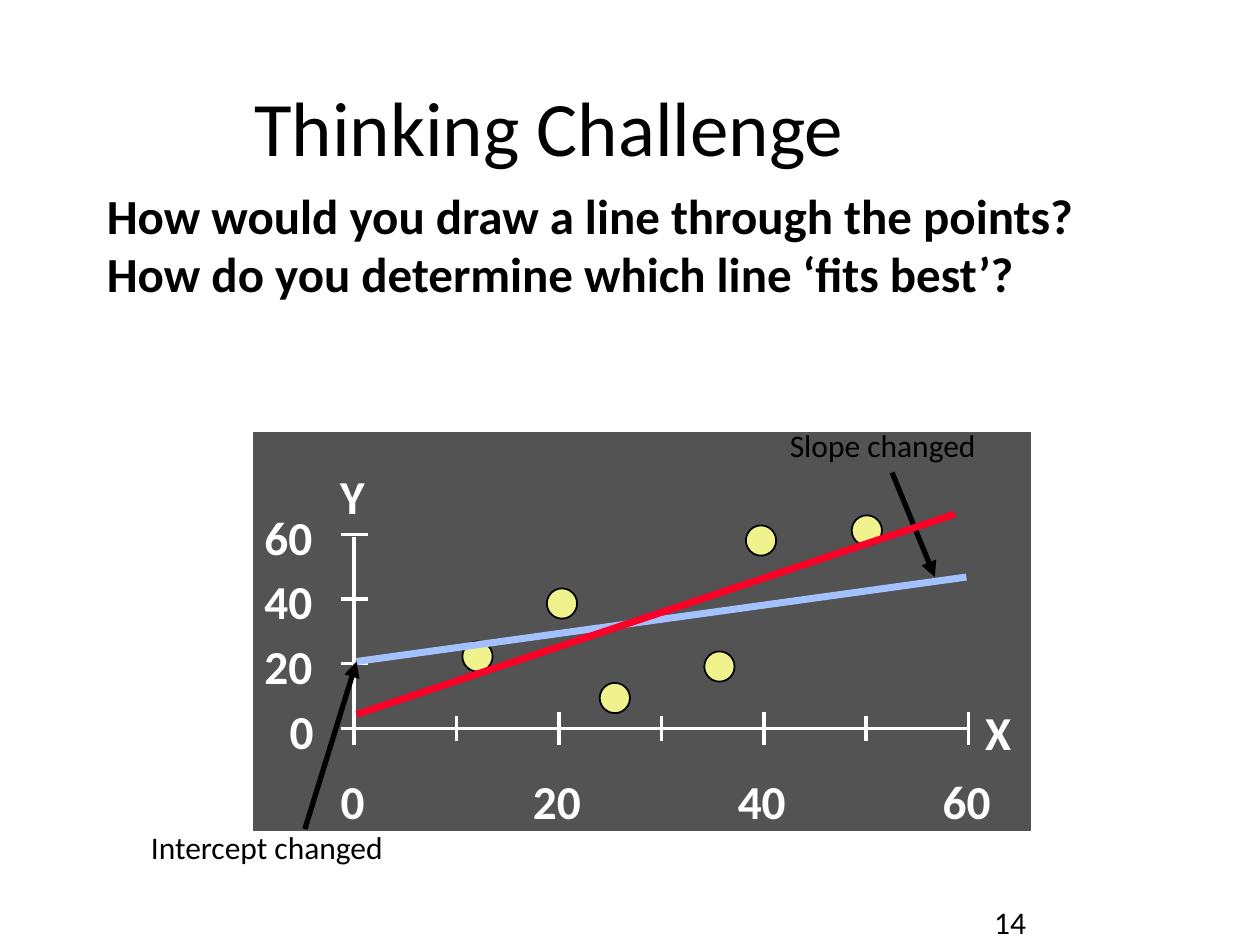
from typing import NamedTuple

from lxml.etree import SubElement
from pptx import Presentation
from pptx.dml.color import RGBColor
from pptx.enum.shapes import MSO_CONNECTOR, MSO_SHAPE
from pptx.enum.text import MSO_ANCHOR
from pptx.oxml.ns import qn
from pptx.util import Inches, Pt

BLACK, WHITE = "000000", "FFFFFF"
PANEL, DOT, BLUE, RED = "535353", "F0F28D", "A2C1FE", "FC0128"

# Axis geometry: origin, and the step between ticks
X0, Y0 = 2.81, 5.78
X_STEP, Y_STEP = 0.813, 0.513
DOT_SIZE = 0.24


class Line(NamedTuple):
    x1: float
    y1: float
    x2: float
    y2: float
    color: str = WHITE
    width: float = 2
    arrow: bool = False


class Dot(NamedTuple):
    x: float
    y: float


def rgb(color: str) -> RGBColor:
    return RGBColor.from_string(color)


def add_text(s, text: str, x: float, y: float, w: float, h: float, *,
             size: float = 18, color: str = BLACK, bold: bool = False,
             anchor=MSO_ANCHOR.TOP, spacing: float = 1.0,
             inset: float = 0.1) -> None:
    box = s.shapes.add_textbox(Inches(x), Inches(y), Inches(w), Inches(h))
    tf = box.text_frame
    tf.word_wrap = True
    tf.vertical_anchor = anchor
    tf.margin_left = tf.margin_right = Inches(inset)
    p = tf.paragraphs[0]
    p.line_spacing = spacing
    r = p.add_run()
    r.text = text
    r.font.name = "Calibri"
    r.font.size = Pt(size)
    r.font.bold = bold
    r.font.color.rgb = rgb(color)


def add_axis_label(s, text: str, x: float, y: float, w: float) -> None:
    add_text(s, text, x, y, w, 0.55, size=27, color=WHITE, bold=True)


def add_shape(s, kind, x: float, y: float, w: float, h: float,
              fill: str, line: str) -> None:
    sp = s.shapes.add_shape(kind, Inches(x), Inches(y), Inches(w), Inches(h))
    sp.shadow.inherit = False
    sp.fill.solid()
    sp.fill.fore_color.rgb = rgb(fill)
    sp.line.color.rgb = rgb(line)
    sp.line.width = Pt(1)


def add_line(s, line: Line) -> None:
    c = s.shapes.add_connector(MSO_CONNECTOR.STRAIGHT,
                               Inches(line.x1), Inches(line.y1),
                               Inches(line.x2), Inches(line.y2))
    c.line.color.rgb = rgb(line.color)
    c.line.width = Pt(line.width)
    if line.arrow:
        SubElement(c.line._get_or_add_ln(), qn("a:tailEnd"), type="triangle")
    SubElement(c._element.spPr, qn("a:effectLst"))


def add_axes(s) -> None:
    add_line(s, Line(X0, 4.26, X0, Y0))
    add_line(s, Line(X0, Y0, 7.68, Y0))
    for i in range(4):
        y = Y0 - i * Y_STEP
        add_line(s, Line(2.71, y, 2.92, y))
    for i in range(7):
        x = X0 + i * X_STEP
        half = 0.1 if i % 2 else 0.13  # labelled ticks are longer
        add_line(s, Line(x, Y0 + half, x, Y0 - half))

    for i in range(4):
        text = str(20 * i)
        w = 0.61 if i else 0.41
        add_axis_label(s, text, 2.61 - w, 5.52 - i * Y_STEP, w)
        add_axis_label(s, text, X0 + 2 * i * X_STEP - w / 2, 6.08, w)
    add_axis_label(s, "X", 7.72, 5.53, 0.45)
    add_axis_label(s, "Y", 2.6, 3.66, 0.45)


DOTS = [Dot(4.76, 5.42), Dot(6.76, 4.09), Dot(4.34, 4.67),
        Dot(5.92, 4.17), Dot(5.59, 5.17), Dot(3.67, 5.09)]

FITS_AND_ARROWS = [
    Line(2.83, 5.25, 7.67, 4.58, BLUE, 4),
    Line(7.08, 3.75, 7.42, 4.58, BLACK, 3, True),
    Line(2.83, 5.67, 2.83, 5.67, BLACK, 1, True),
    Line(2.42, 6.58, 2.83, 5.25, BLACK, 3, True),
    Line(2.83, 5.67, 7.58, 4.08, RED, 4),
]


def main() -> None:
    prs = Presentation()
    prs.slide_width, prs.slide_height = Inches(10), Inches(7.5)
    s = prs.slides.add_slide(prs.slide_layouts[6])

    # Slide number, title and questions
    add_text(s, "14", 7.84, 7.12, 0.38, 0.39, inset=0.05)
    add_text(s, "Thinking Challenge", 1.92, 0.19, 7.75, 1.23, size=44,
             anchor=MSO_ANCHOR.BOTTOM, spacing=0.9)
    add_text(s, "How would you draw a line through the points? "
             "How do you determine which line ‘fits best’?",
             0.75, 1.42, 8.56, 1.5, size=28, bold=True)

    # Scatter plot
    add_shape(s, MSO_SHAPE.RECTANGLE, 2, 3.42, 6.19, 3.18, PANEL, WHITE)
    add_axes(s)
    for dot in DOTS:
        add_shape(s, MSO_SHAPE.OVAL, dot.x, dot.y, DOT_SIZE, DOT_SIZE,
                  DOT, BLACK)

    # Candidate lines and their callouts
    for line in FITS_AND_ARROWS:
        add_line(s, line)
    add_text(s, "Slope changed", 6.17, 3.33, 1.87, 0.4)
    add_text(s, "Intercept changed", 1.1, 6.52, 2.2, 0.4)

    prs.save("out.pptx")


if __name__ == "__main__":
    main()
